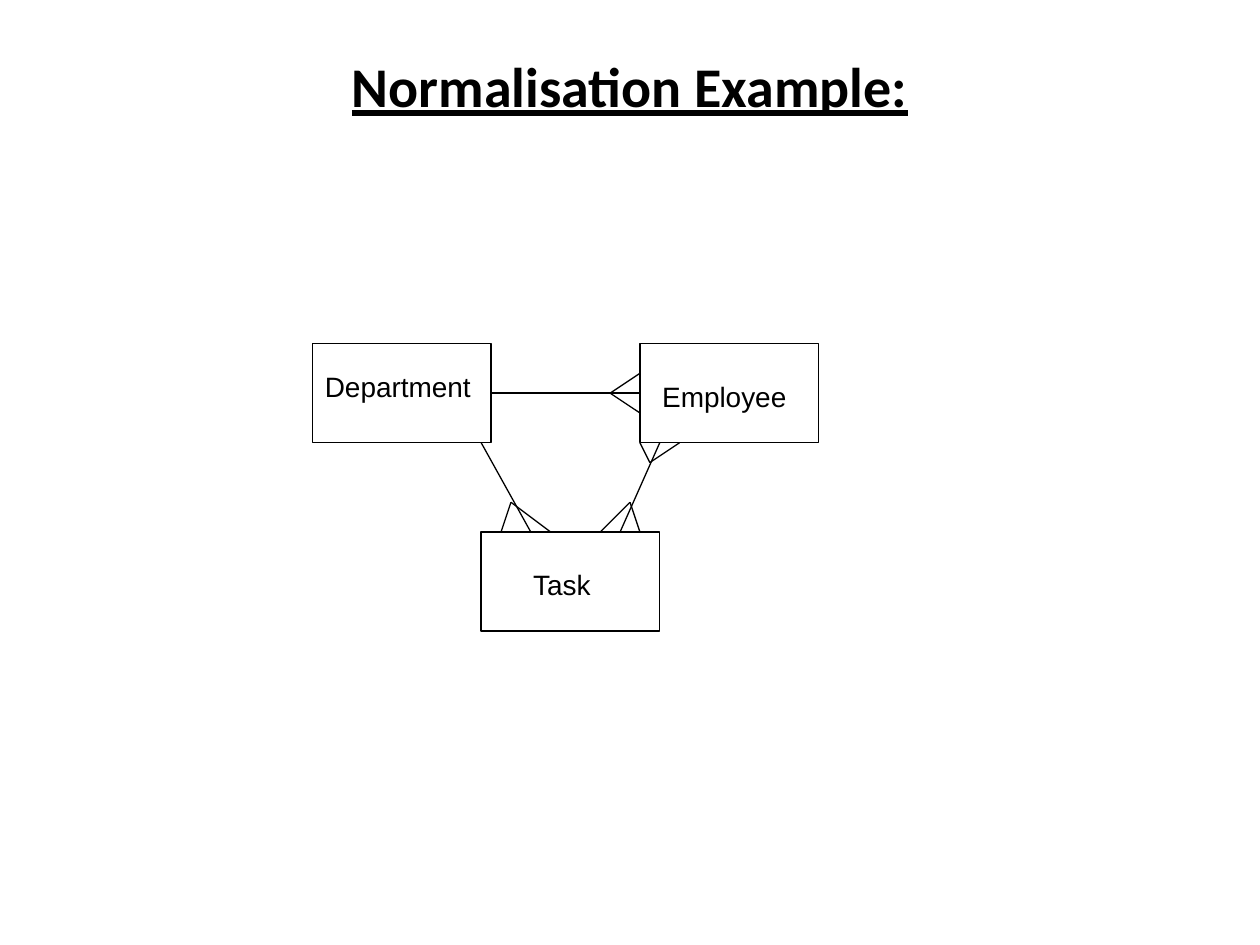
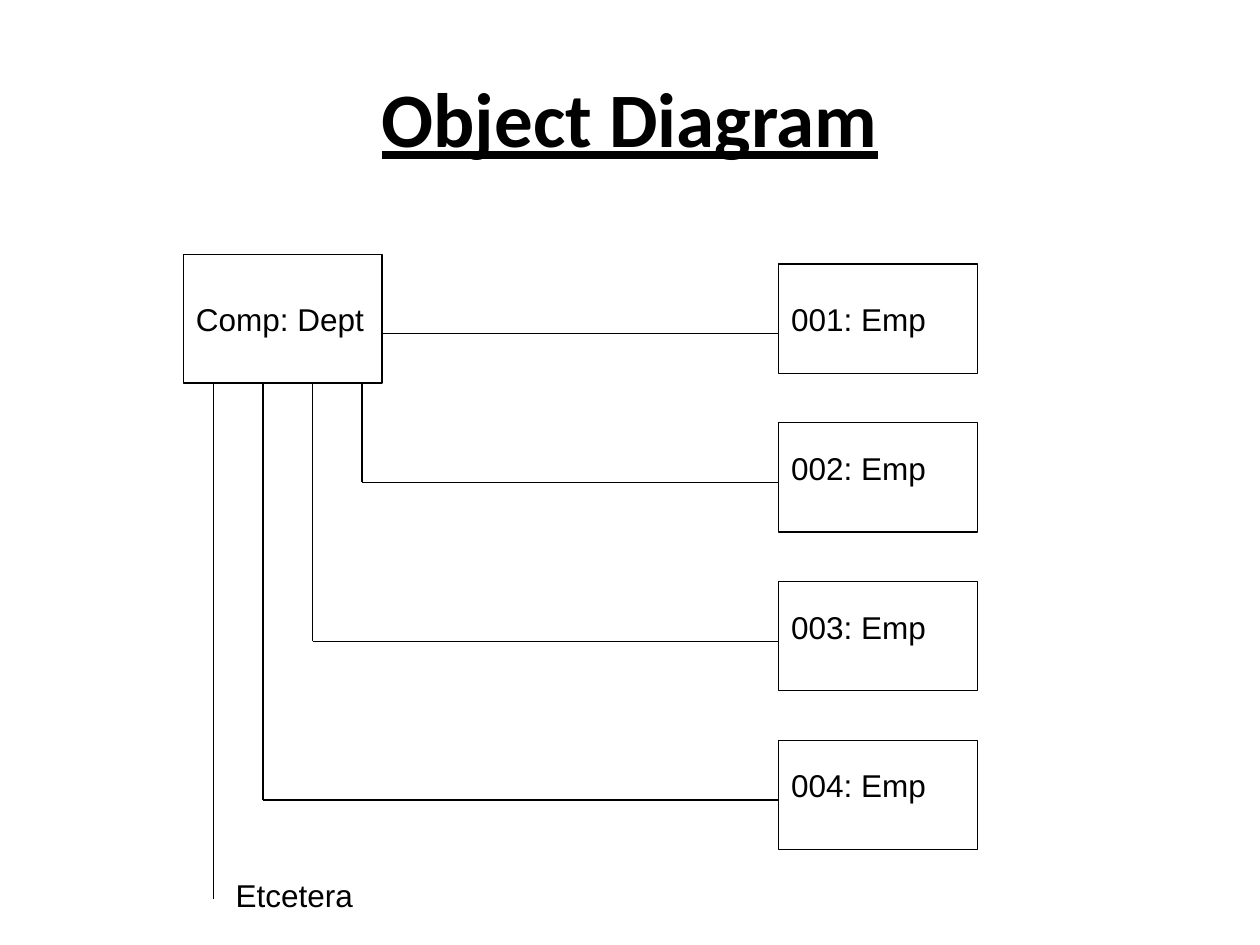
from typing import NamedTuple

from lxml import etree
from pptx import Presentation
from pptx import util as u
from pptx.dml.color import RGBColor
from pptx.enum import shapes, text
from pptx.oxml import ns

INK = RGBColor(0, 0, 0)
HEAD, BODY = "Calibri", "Arial"
WIDE, HIGH = u.Inches(10), u.Inches(7.5)
COL, ROW = WIDE / 254, HIGH / 190.5
SHIFT = 0.25
THIN = u.Pt(0.75)


class Point(NamedTuple):
    col: float
    row: float


class Box(NamedTuple):
    col: float
    row: float
    cols: float
    rows: float
    name: str
    right: float = 0
    down: float = 4


class Crow(NamedTuple):
    tip: Point
    toes: tuple[Point, Point]


def across(col: float) -> int:
    return round(col * COL)


def along(row: float) -> int:
    return round((row + SHIFT) * ROW)


def write(slide, words: str, area: tuple, *, size: float, font: str = BODY,
          bold: bool = False, line: bool = False, align=text.PP_ALIGN.LEFT,
          anchor=text.MSO_ANCHOR.TOP, foot: float = 0.05):
    shape = slide.shapes.add_textbox(*area)
    frame = shape.text_frame
    frame.word_wrap = True
    frame.vertical_anchor = anchor
    frame.margin_bottom = u.Inches(foot)
    para = frame.paragraphs[0]
    para.alignment = align
    run = para.add_run()
    run.text = words
    run.font.name = font
    run.font.size = u.Pt(size)
    run.font.bold = bold
    run.font.underline = line
    run.font.color.rgb = INK
    return shape


def title(slide, words: str, size: float, foot: float = 0.05) -> None:
    area = [round(part) for part in
            (WIDE * 0.05, HIGH * 0.04, WIDE * 0.9, HIGH / 6)]
    write(slide, words, area, size=size, font=HEAD, bold=True, line=True,
          align=text.PP_ALIGN.CENTER, anchor=text.MSO_ANCHOR.MIDDLE, foot=foot)


def label(slide, words: str, at: Point, cols: float, size: float) -> None:
    area = (across(at.col), along(at.row), across(cols), round(10 * ROW))
    write(slide, words, area, size=size)


def draw(slide, box: Box, cols: float, size: float):
    shape = slide.shapes.add_shape(
        shapes.MSO_SHAPE.RECTANGLE, across(box.col), along(box.row),
        across(box.cols), round(box.rows * ROW))
    shape.shadow.inherit = False
    shape.fill.background()
    shape.line.color.rgb = INK
    shape.line.width = THIN
    spot = Point(box.col + box.right, box.row + box.down)
    label(slide, box.name, spot, cols, size)
    return shape


def link(slide, start: Point, end: Point):
    wire = slide.shapes.add_connector(
        shapes.MSO_CONNECTOR.STRAIGHT, across(start.col), along(start.row),
        across(end.col), along(end.row))
    wire.line.color.rgb = INK
    wire.line.width = THIN
    etree.SubElement(wire.element.spPr, ns.qn("a:effectLst"))
    return wire


def entities(slide) -> None:
    title(slide, "Normalisation Example:", 32, foot=0.55)
    dept, task, staff = [draw(slide, box, 38, 16) for box in (
        Box(63, 69, 36, 20, "Department"),
        Box(97, 107, 36, 20, "Task", 8, 6),
        Box(129, 69, 36, 20, "Employee", 2, 6))]

    wire = link(slide, Point(99, 79), Point(129, 79))
    wire.begin_connect(dept, 3)
    wire.end_connect(staff, 1)
    link(slide, Point(97, 89), Point(107, 107))
    link(slide, Point(133, 89), Point(125, 107))

    for crow in (
            Crow(Point(103, 101), (Point(101, 107), Point(111, 107))),
            Crow(Point(127, 101), (Point(121, 107), Point(129, 107))),
            Crow(Point(123, 79), (Point(129, 75), Point(129, 83))),
            Crow(Point(131, 93), (Point(129, 89), Point(137, 89)))):
        for toe in crow.toes:
            link(slide, crow.tip, toe)


def objects(slide) -> None:
    title(slide, "Object Diagram", 44)
    dept = Box(37, 51, 40, 26, "Comp: Dept", down=8)
    draw(slide, dept, dept.cols, 18)
    base = dept.row + dept.rows
    left, top, step, gap = 157, 53, 32, 10
    for i in range(4):
        drop = 0 if i else 2
        staff = Box(left, top + i * step, 40, 22, f"{i + 1:03}: Emp",
                    down=4 + drop)
        draw(slide, staff, staff.cols, 18)
        level = staff.row + 12 + drop
        turn = Point(83 - i * gap if i else dept.col + dept.cols, level)
        link(slide, turn, Point(left, level))
        if i:
            link(slide, Point(turn.col, base), turn)
    link(slide, Point(43, base), Point(43, 181))
    label(slide, "Etcetera", Point(45, 175), 40, 18)


def main() -> None:
    deck = Presentation()
    deck.slide_width, deck.slide_height = WIDE, HIGH
    for build in (entities, objects):
        build(deck.slides.add_slide(deck.slide_layouts[6]))
    deck.save("out.pptx")


if __name__ == "__main__":
    main()
